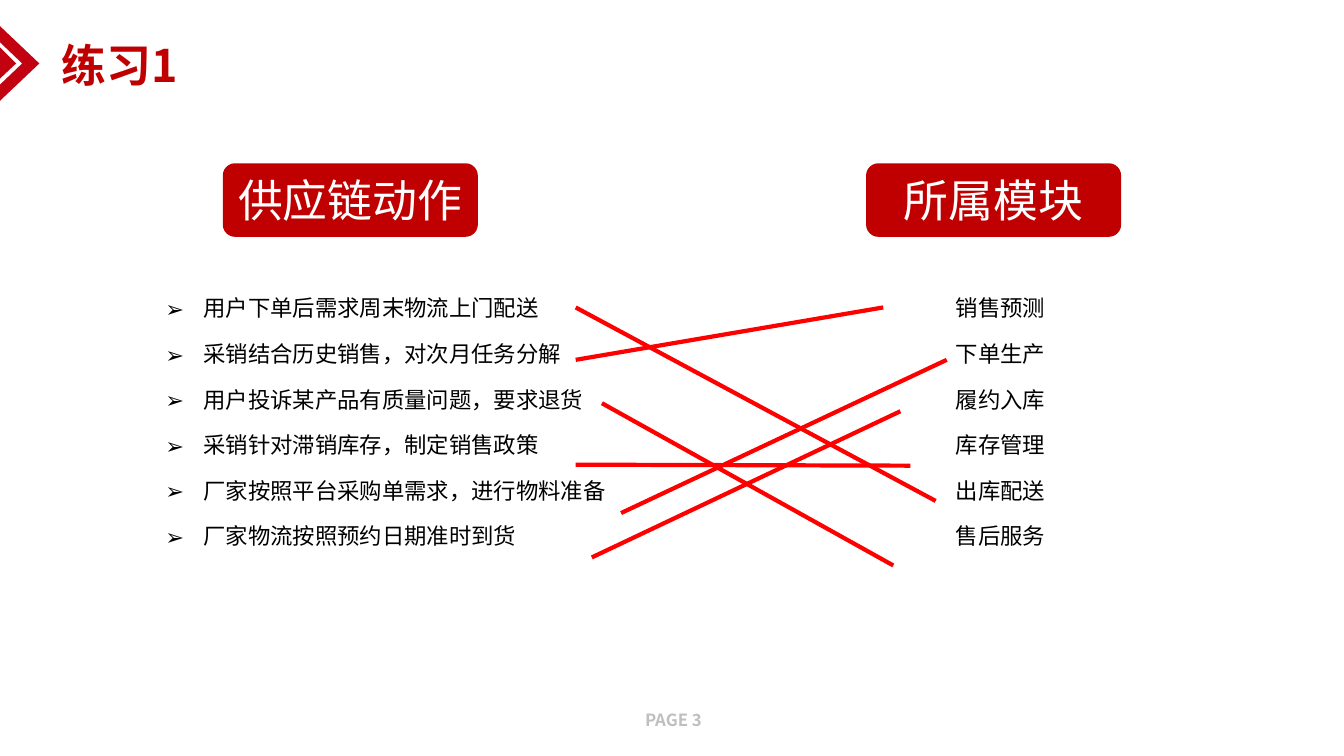
from lxml import etree
from pptx import Presentation
from pptx.dml.color import RGBColor
from pptx.enum.shapes import MSO_CONNECTOR, MSO_SHAPE
from pptx.enum.text import MSO_ANCHOR, MSO_AUTO_SIZE, PP_ALIGN
from pptx.oxml.ns import qn
from pptx.util import Pt

PX = 9144
FONT = "Noto Sans CJK SC"
COLORS = {"brand": "C00000", "chevron": "C30211", "link": "FF0000",
          "text": "000000", "white": "FFFFFF", "page": "BFBFBF"}
LEFT, CENTER = PP_ALIGN.LEFT, PP_ALIGN.CENTER
MIDDLE, TOP = MSO_ANCHOR.MIDDLE, MSO_ANCHOR.TOP
NO_FIT = MSO_AUTO_SIZE.NONE
ROUND_RECT = MSO_SHAPE.ROUNDED_RECTANGLE
STRAIGHT = MSO_CONNECTOR.STRAIGHT

ACTIONS = [
    "用户下单后需求周末物流上门配送",
    "采销结合历史销售，对次月任务分解",
    "用户投诉某产品有质量问题，要求退货",
    "采销针对滞销库存，制定销售政策",
    "厂家按照平台采购单需求，进行物料准备",
    "厂家物流按照预约日期准时到货",
]
MODULES = ["销售预测", "下单生产", "履约入库", "库存管理", "出库配送", "售后服务"]
LINKS = [
    (571, 305, 928, 497),
    (571, 357, 876, 305),
    (597, 400, 886, 561),
    (571, 461, 903, 462),
    (616, 509, 939, 357),
    (587, 553, 893, 408),
]


def emu(*lengths):
    """Turn px lengths into EMU."""
    return [n * PX for n in lengths]


def color(name):
    """Return a palette colour."""
    return RGBColor.from_string(COLORS[name])


def place(sp, box):
    """Move a shape to a px box."""
    for name, value in zip(("left", "top", "width", "height"), emu(*box)):
        setattr(sp, name, value)


def set_frame(tf, anchor):
    """Give a text frame wrapping, a fixed size and an anchor."""
    frame = {"word_wrap": True, "auto_size": NO_FIT, "vertical_anchor": anchor}
    for name, value in frame.items():
        setattr(tf, name, value)


def write(p, text, size, fill, align=CENTER, bold=False, **spacing):
    """Write one formatted run into a paragraph."""
    layout = {"alignment": align, "space_before": Pt(0), "space_after": Pt(0)}
    for name, value in {**layout, **spacing}.items():
        setattr(p, name, value)
    r = p.add_run()
    r.text = text
    for name, value in {"name": FONT, "size": Pt(size), "bold": bold}.items():
        setattr(r.font, name, value)
    r.font.color.rgb = color(fill)
    etree.SubElement(r._r.get_or_add_rPr(), qn("a:ea"), typeface=FONT)


def set_bullet(p, char, indent):
    """Set the bullet and hanging indent of a paragraph, or clear them."""
    pPr = p._p.get_or_add_pPr()
    pPr.set("marL", str(indent * PX))
    pPr.set("indent", str(-indent * PX))
    if char:
        etree.SubElement(pPr, qn("a:buFont"), typeface=FONT)
        etree.SubElement(pPr, qn("a:buChar"), char=char)
    else:
        etree.SubElement(pPr, qn("a:buNone"))


def add_chevron(slide, box):
    """Draw the corner arrow and its inner triangle in the box."""
    x, y, w, h = box
    mid = y + h // 2
    triangle = [(x, y + 21), (x + 16, mid), (x, y + h - 22)]
    band = [(x, y), (x + w, mid), (x, y + h),
            (x, y + h - 16), (x + 22, mid), (x, y + 16)]
    for points in (triangle, band):
        builder = slide.shapes.build_freeform(*points[0], scale=PX)
        builder.add_line_segments(points[1:], close=True)
        sp = builder.convert_to_shape()
        sp.shadow.inherit = False
        sp.fill.solid()
        sp.fill.fore_color.rgb = color("chevron")
        sp.line.fill.background()


def add_title(slide, box, text):
    """Fill the title placeholder."""
    sp = slide.shapes.title
    place(sp, box)
    set_frame(sp.text_frame, MIDDLE)
    write(sp.text_frame.paragraphs[0], text, 32, "brand", LEFT, True, line_spacing=0.9)


def add_heading(slide, box, text):
    """Draw a rounded column heading."""
    sp = slide.shapes.add_shape(ROUND_RECT, *emu(*box))
    sp.shadow.inherit = False
    sp.fill.solid()
    sp.fill.fore_color.rgb = color("brand")
    sp.line.fill.background()
    set_frame(sp.text_frame, MIDDLE)
    write(sp.text_frame.paragraphs[0], text, 32, "white")


def add_list(sp, box, items, align, char=None, indent=0):
    """Fill a body placeholder with evenly spaced items."""
    place(sp, box)
    tf = sp.text_frame
    set_frame(tf, TOP)
    for i, item in enumerate(items):
        p = tf.add_paragraph() if i else tf.paragraphs[0]
        set_bullet(p, char, indent)
        write(p, item, 16, "text", align, space_before=Pt(13.4 if i else 0))


def add_links(slide, links):
    """Join the actions to their modules with straight lines."""
    for ends in links:
        line = slide.shapes.add_connector(STRAIGHT, *emu(*ends))
        line.line.color.rgb = color("link")
        line.line.width = Pt(3)
        etree.SubElement(line._element.spPr, qn("a:effectLst"))


def add_page_label(slide, box, text):
    """Write the page label at the foot."""
    tf = slide.shapes.add_textbox(*emu(*box)).text_frame
    set_frame(tf, TOP)
    tf.margin_top = 7 * PX
    write(tf.paragraphs[0], text, 12, "page", bold=True)


def main():
    """Build and save the matching exercise slide."""
    prs = Presentation()
    prs.slide_width, prs.slide_height = emu(1333, 750)
    slide = prs.slides.add_slide(prs.slide_layouts[3])
    actions, modules = list(slide.placeholders)[1:]
    add_page_label(slide, (536, 697, 264, 39), "PAGE 3")
    add_chevron(slide, (0, 26, 39, 74))
    add_title(slide, (51, 38, 1136, 59), "练习1")
    add_heading(slide, (221, 162, 253, 73), "供应链动作")
    add_heading(slide, (859, 162, 253, 73), "所属模块")
    add_list(actions, (154, 287, 530, 291), ACTIONS, LEFT, "➢", 38)
    add_list(modules, (866, 287, 253, 291), MODULES, CENTER)
    add_links(slide, LINKS)
    prs.save("out.pptx")


if __name__ == "__main__":
    main()
